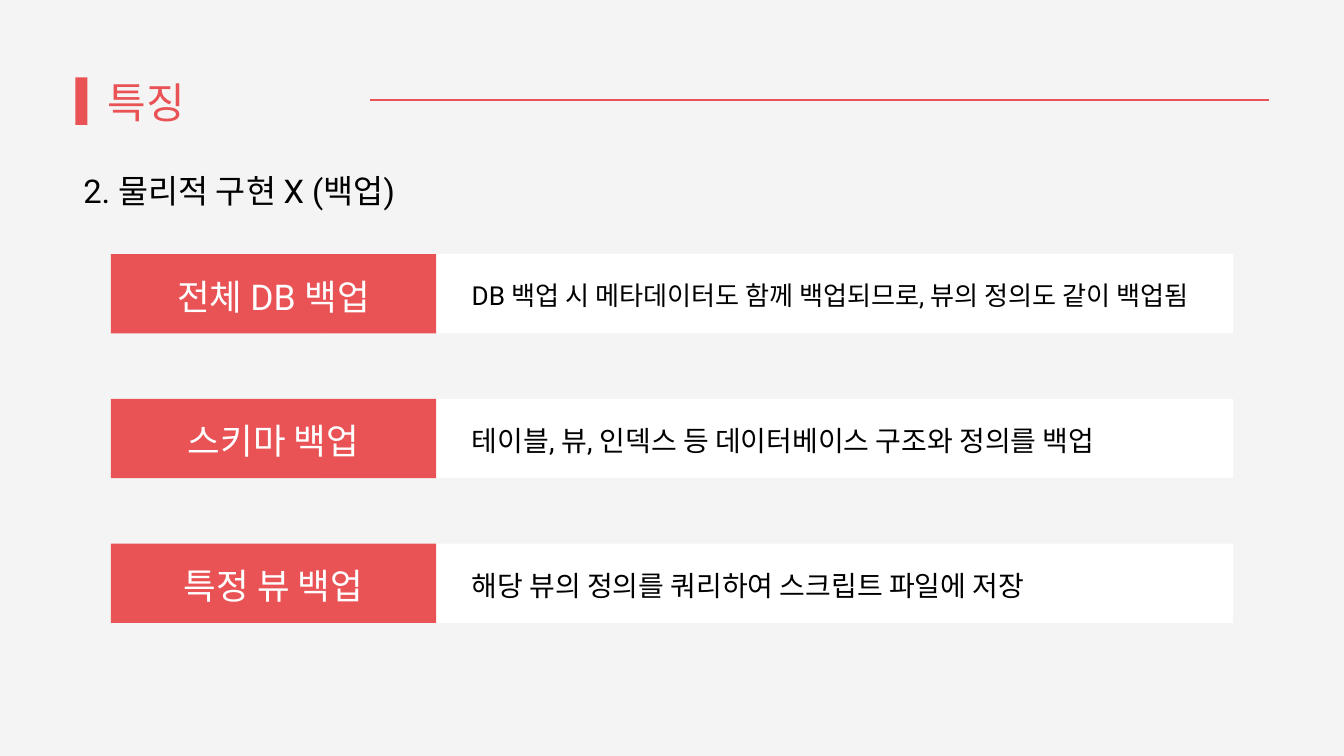
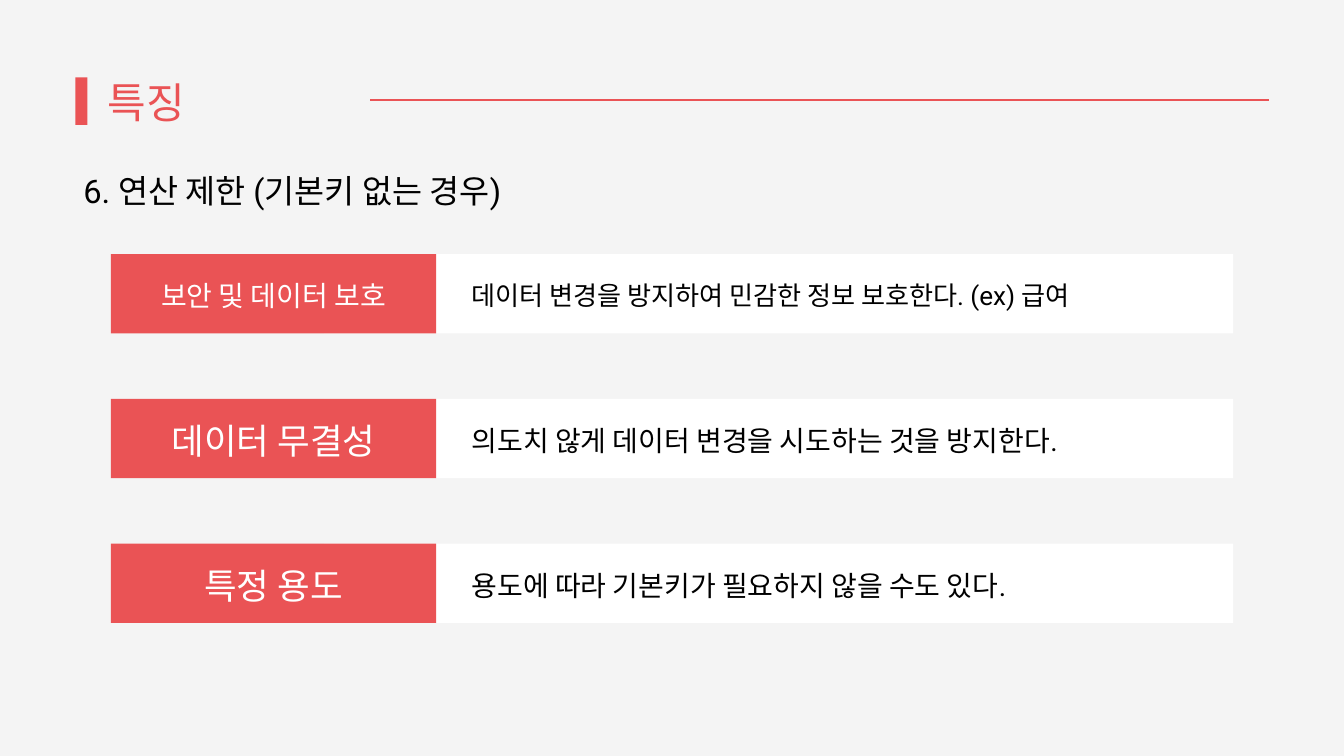
from lxml import etree
from pptx import Presentation
from pptx.dml.color import RGBColor
from pptx.enum.shapes import MSO_CONNECTOR, MSO_SHAPE
from pptx.enum.text import MSO_AUTO_SIZE, PP_ALIGN
from pptx.oxml.ns import qn
from pptx.util import Inches, Pt

RECTANGLE = MSO_SHAPE.RECTANGLE
STRAIGHT = MSO_CONNECTOR.STRAIGHT
GROW = MSO_AUTO_SIZE.SHAPE_TO_FIT_TEXT
LEFT, CENTER = PP_ALIGN.LEFT, PP_ALIGN.CENTER

COLUMNS, ROWS = 20, 11.25
FIRST_BAND, LAST_BAND, BAND_HEIGHT = 3.78, 8.09, 1.18
LABEL_LEFT, LABEL_WIDTH = 1.65, 4.84
PANEL_LEFT, PANEL_WIDTH = 4.82, 13.53

SLIDES = [
    ("특징", " 2. 물리적 구현 X (백업)", [
        ("전체 DB 백업", 38, "DB 백업 시 메타데이터도 함께 백업되므로, 뷰의 정의도 같이 백업됨", 28),
        ("스키마 백업", 38, "테이블, 뷰, 인덱스 등 데이터베이스 구조와 정의를 백업", 30),
        ("특정 뷰 백업", 38, "해당 뷰의 정의를 쿼리하여 스크립트 파일에 저장", 30),
    ]),
    ("특징", " 6. 연산 제한 (기본키 없는 경우)", [
        ("보안 및 데이터 보호", 30, "데이터 변경을 방지하여 민감한 정보 보호한다. (ex) 급여", 28),
        ("데이터 무결성", 38, "의도치 않게 데이터 변경을 시도하는 것을 방지한다.", 30),
        ("특정 용도", 38, "용도에 따라 기본키가 필요하지 않을 수도 있다.", 30),
    ]),
]


def rgb(value):
    return RGBColor.from_string(value)


class Deck:
    font = "Roboto"
    accent = "EA5355"
    background = "F4F4F4"
    white = "FFFFFF"
    black = "000000"
    line_factor = 1.3
    box_factor = 1.27

    def __init__(self):
        self.presentation = Presentation()
        self.presentation.slide_width = Inches(COLUMNS)
        self.presentation.slide_height = Inches(ROWS)
        self.slide = None

    def x(self, columns):
        return round(self.presentation.slide_width * columns / COLUMNS)

    def y(self, rows):
        return round(self.presentation.slide_height * rows / ROWS)

    def add_slide(self):
        self.slide = self.presentation.slides.add_slide(self.presentation.slide_layouts[6])
        fill = self.slide.background.fill
        fill.solid()
        fill.fore_color.rgb = rgb(self.background)

    def block(self, left, top, width, height, color):
        shape = self.slide.shapes.add_shape(
            RECTANGLE, self.x(left), self.y(top), self.x(width), self.y(height))
        shape.shadow.inherit = False
        shape.fill.solid()
        shape.fill.fore_color.rgb = rgb(color)
        shape.line.fill.background()

    def rule(self, start, end, row):
        connector = self.slide.shapes.add_connector(
            STRAIGHT, self.x(start), self.y(row), self.x(end), self.y(row))
        connector.line.color.rgb = rgb(self.accent)
        connector.line.width = Pt(1.5)
        etree.SubElement(connector._element.spPr, qn("a:effectLst"))

    def text(self, content, left, middle, width, size, color, alignment=LEFT):
        height = Pt(size * self.box_factor)
        box = self.slide.shapes.add_textbox(
            self.x(left), self.y(middle) - height // 2, self.x(width), height)
        frame = box.text_frame
        frame.margin_left = frame.margin_top = frame.margin_right = frame.margin_bottom = 0
        frame.word_wrap = True
        frame.auto_size = GROW
        paragraph = frame.paragraphs[0]
        paragraph.text = content
        paragraph.alignment = alignment
        paragraph.line_spacing = Pt(size * self.line_factor)
        paragraph.font.name = self.font
        paragraph.font.size = Pt(size)
        paragraph.font.color.rgb = rgb(color)

    def header(self, title, subtitle):
        self.block(1.12, 1.15, 0.18, 0.71, self.accent)
        self.text(title, 1.6, 1.48, 5.27, 45, self.accent)
        self.rule(5.51, 18.88, 1.49)
        self.text(subtitle, 1.12, 2.81, 8.23, 35, self.black)

    def band(self, top, label, label_size, detail, detail_size):
        middle = top + BAND_HEIGHT / 2
        self.block(PANEL_LEFT, top, PANEL_WIDTH, BAND_HEIGHT, self.white)
        self.block(LABEL_LEFT, top, LABEL_WIDTH, BAND_HEIGHT, self.accent)
        self.text(detail, 7.02, middle, 12.2, detail_size, self.black)
        self.text(label, LABEL_LEFT + 0.56, middle, LABEL_WIDTH - 1.12,
                  label_size, self.white, CENTER)


def main():
    deck = Deck()
    for title, subtitle, bands in SLIDES:
        deck.add_slide()
        deck.header(title, subtitle)
        pitch = (LAST_BAND - FIRST_BAND) / (len(bands) - 1)
        for index, band in enumerate(bands):
            deck.band(FIRST_BAND + index * pitch, *band)
    deck.presentation.save("out.pptx")


if __name__ == "__main__":
    main()
